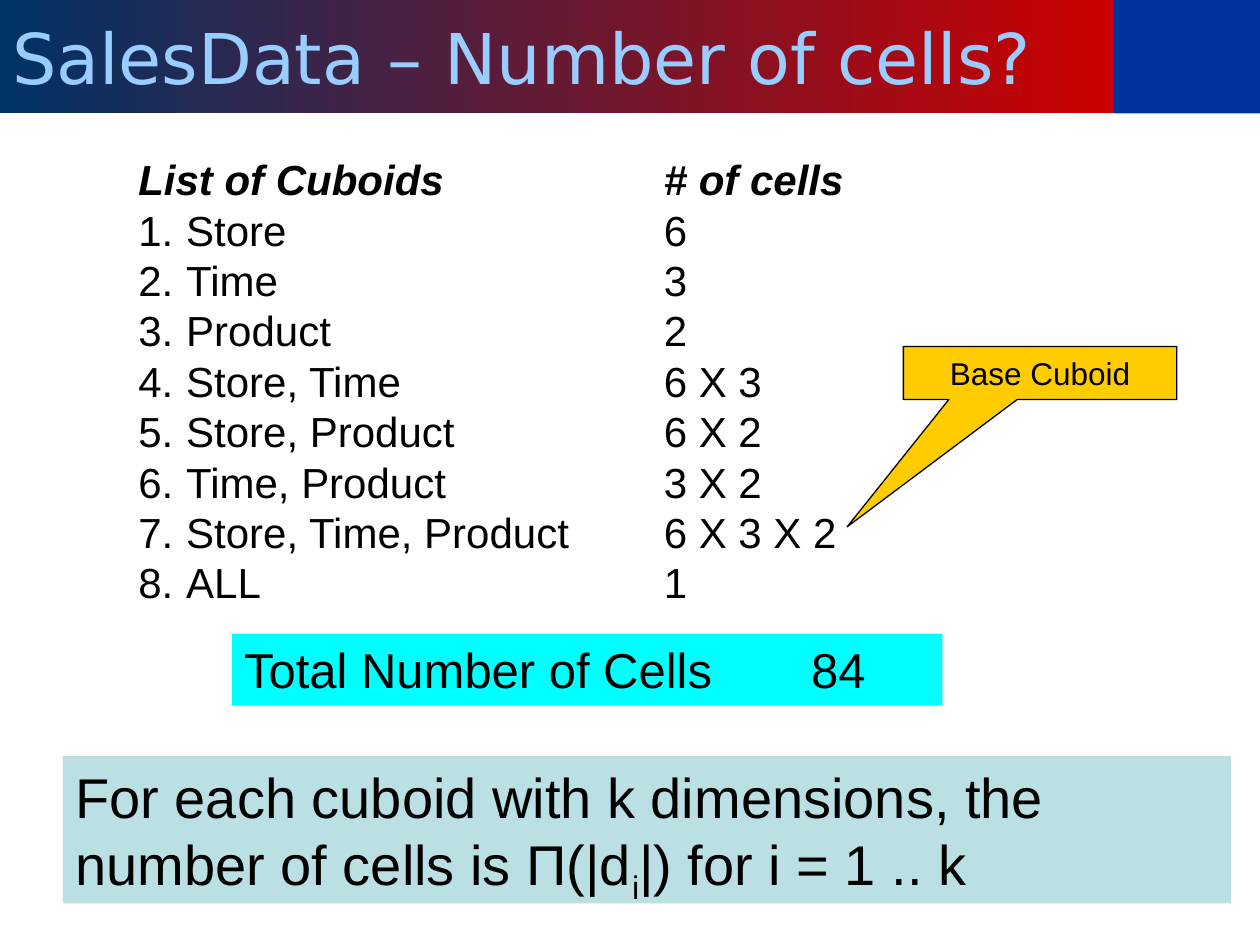
from lxml import etree
from pptx import Presentation
from pptx.dml.color import RGBColor
from pptx.enum.shapes import MSO_SHAPE
from pptx.enum.text import MSO_ANCHOR, PP_ALIGN
from pptx.oxml.ns import qn
from pptx.util import Inches, Pt

RECT, CALLOUT = MSO_SHAPE.RECTANGLE, MSO_SHAPE.RECTANGULAR_CALLOUT
TOP, MIDDLE = MSO_ANCHOR.TOP, MSO_ANCHOR.MIDDLE
LEFT, CENTER = PP_ALIGN.LEFT, PP_ALIGN.CENTER

COLORS = {
    "navy": "003366", "red": "CC0000", "blue": "003399", "sky": "99CCFF",
    "black": "000000", "teal": "BBE0E3", "cyan": "00FFFF", "amber": "FFCC00",
}

TITLE = "SalesData – Number of cells?"
HEADINGS = ("List of Cuboids", "# of cells")
CUBOIDS = [
    ("Store", "6"),
    ("Time", "3"),
    ("Product", "2"),
    ("Store, Time", "6 X 3"),
    ("Store, Product", "6 X 2"),
    ("Time, Product", "3 X 2"),
    ("Store, Time, Product", "6 X 3 X 2"),
    ("ALL", "1"),
]
TOTAL = "Total Number of Cells\t\t84"
# (text, is subscript)
RULE = [
    ("For each cuboid with k dimensions, the number of cells is Π(|d", False),
    ("i", True),
    ("|) for i = 1 .. k", False),
]
CALLOUT_TEXT = "Base Cuboid"

WIDTH, HEIGHT = 10, 7.5
BANNER_HEIGHT = 0.12 * HEIGHT
BANNER_SPLIT = 8.84
LIST_TOP, LIST_HEIGHT = 1.17, 3.69
LIST_COLUMNS = [(1, 5.17), (5.17, 2.5)]  # left, width
HANGING = 0.38


def rgb(name):
    return RGBColor.from_string(COLORS[name])


def add_run(paragraph, text, size, color="black", font="Arial"):
    run = paragraph.add_run()
    run.text = text
    run.font.size = Pt(size)
    run.font.name = font
    run.font.color.rgb = rgb(color)
    return run


def add_block(slide, box, fill, kind=RECT, anchor=TOP, align=LEFT):
    """Add a flat filled shape without outline; return it and its first paragraph."""
    block = slide.shapes.add_shape(kind, *map(Inches, box))
    block.shadow.inherit = False
    block.fill.solid()
    block.fill.fore_color.rgb = rgb(fill)
    block.line.fill.background()
    frame = block.text_frame
    frame.word_wrap = True
    frame.vertical_anchor = anchor
    frame.paragraphs[0].alignment = align
    return block, frame.paragraphs[0]


def add_banner(slide):
    add_block(slide, (BANNER_SPLIT, 0, WIDTH - BANNER_SPLIT, BANNER_HEIGHT), "blue")
    banner, title = add_block(
        slide, (0, 0, BANNER_SPLIT, BANNER_HEIGHT), "navy", anchor=MIDDLE)
    banner.fill.gradient()
    banner.fill.gradient_angle = 0
    for stop, color, position in zip(
            banner.fill.gradient_stops, ("navy", "red"), (0, 1)):
        stop.color.rgb = rgb(color)
        stop.position = position
    add_run(title, TITLE, 40, "sky", "DejaVu Sans")


def add_list(slide, column, heading, entries, numbered):
    left, width = column
    box = slide.shapes.add_textbox(
        *map(Inches, (left, LIST_TOP, width, LIST_HEIGHT)))
    frame = box.text_frame
    frame.word_wrap = True
    for row, text in enumerate([heading, *entries]):
        paragraph = frame.add_paragraph() if row else frame.paragraphs[0]
        properties = paragraph._p.get_or_add_pPr()
        properties.set("marL", str(Inches(HANGING)))
        properties.set("indent", str(-Inches(HANGING)))
        if numbered and row:
            etree.SubElement(properties, qn("a:buFont"), typeface="Arial")
            etree.SubElement(properties, qn("a:buAutoNum"), type="arabicPeriod")
        run = add_run(paragraph, text, 24)
        run.font.bold = run.font.italic = row == 0


def add_rule(slide):
    _, paragraph = add_block(slide, (0.5, 6, 9.27, 1.17), "teal")
    for text, subscript in RULE:
        run = add_run(paragraph, text, 32)
        if subscript:
            run.font._element.set("baseline", "-25000")


def add_total(slide):
    total, paragraph = add_block(slide, (1.84, 5.03, 5.64, 0.57), "cyan")
    total.text_frame.word_wrap = False
    add_run(paragraph, TOTAL, 28)


def add_callout(slide):
    callout, paragraph = add_block(
        slide, (7.17, 2.75, 2.17, 0.42), "amber", CALLOUT, MIDDLE, CENTER)
    callout.adjustments[0] = -0.706
    callout.adjustments[1] = 2.908
    callout.line.color.rgb = rgb("black")
    callout.line.width = Pt(0.75)
    add_run(paragraph, CALLOUT_TEXT, 18)


def main():
    deck = Presentation()
    deck.slide_width, deck.slide_height = Inches(WIDTH), Inches(HEIGHT)
    slide = deck.slides.add_slide(deck.slide_layouts[6])
    add_banner(slide)
    for index, entries in enumerate(zip(*CUBOIDS)):
        add_list(slide, LIST_COLUMNS[index], HEADINGS[index], entries, index == 0)
    add_rule(slide)
    add_total(slide)
    add_callout(slide)
    deck.save("out.pptx")


if __name__ == "__main__":
    main()
